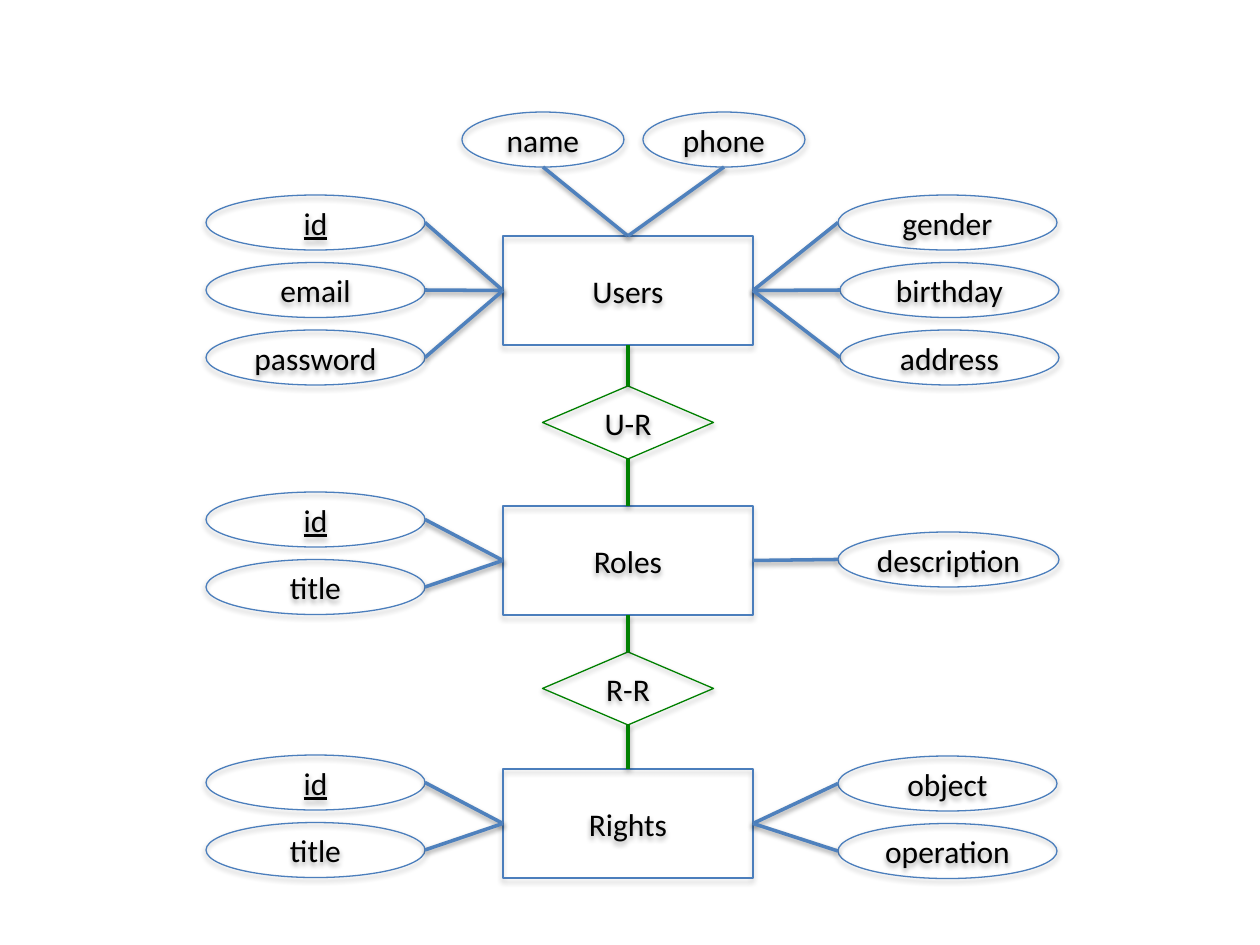
import pptx
import pptx.util
import pptx.dml.color
import pptx.enum.shapes
import pptx.enum.text
import pptx.oxml
import pptx.oxml.ns

SCALE = 914400 / 126
BLUE_OUTLINE = pptx.dml.color.RGBColor(0x4B, 0x7E, 0xBC)
BLUE_LINK = pptx.dml.color.RGBColor(0x4F, 0x81, 0xBD)
GREEN = pptx.dml.color.RGBColor(0x00, 0x80, 0x00)
BLACK = pptx.dml.color.RGBColor(0x00, 0x00, 0x00)
KINDS = pptx.enum.shapes.MSO_SHAPE

ENTITY_LEFT, ENTITY_WIDTH, ENTITY_HEIGHT = 503, 250, 109
RELATION_WIDTH, RELATION_HEIGHT = 171, 73
OVAL_WIDTH, OVAL_HEIGHT, OVAL_STEP = 219, 55, 67.5
LEFT_OVALS = 206
TOP_OVALS, TOP_OVAL_WIDTH = 112, 162
CENTER = ENTITY_LEFT + ENTITY_WIDTH / 2
KEY = "id"

ENTITIES = [
    {"name": "Users", "top": 236, "ovals_top": 195,
     "left": ["id", "email", "password"],
     "right": [("gender", 838, 219), ("birthday", 840, 219), ("address", 840, 219)],
     "right_top": 195, "above": [("name", 462), ("phone", 643)]},
    {"name": "Roles", "top": 506, "ovals_top": 492,
     "left": ["id", "title"],
     "right": [("description", 838, 221)], "right_top": 532, "above": []},
    {"name": "Rights", "top": 769, "ovals_top": 755,
     "left": ["id", "title"],
     "right": [("object", 838, 219), ("operation", 838, 219)],
     "right_top": 756, "above": []},
]
RELATIONS = [("U-R", 386), ("R-R", 652)]


def px(value):
    return pptx.util.Emu(round(value * SCALE))


def add_shadow(properties, opacity, distance):
    effects = properties.find(pptx.oxml.ns.qn("a:effectLst"))
    if effects is None:
        effects = pptx.oxml.parse_xml("<a:effectLst %s/>" % pptx.oxml.ns.nsdecls("a"))
        properties.append(effects)
    effects.append(pptx.oxml.parse_xml(
        '<a:outerShdw %s blurRad="%d" dist="%d" dir="5400000" rotWithShape="0">'
        '<a:srgbClr val="000000"><a:alpha val="%d"/></a:srgbClr></a:outerShdw>'
        % (pptx.oxml.ns.nsdecls("a"), pptx.util.Pt(3.1), pptx.util.Pt(distance),
           opacity * 1000)))


def add_node(slide, kind, text, left, top, width, height, color=BLUE_OUTLINE):
    shape = slide.shapes.add_shape(kind, px(left), px(top), px(width), px(height))
    shape.fill.background()
    shape.line.color.rgb = color
    shape.line.width = pptx.util.Pt(0.75)
    shape.shadow.inherit = False
    add_shadow(shape.element.spPr, 35, 1.8)
    frame = shape.text_frame
    frame.margin_left = frame.margin_right = 0
    frame.word_wrap = True
    frame.vertical_anchor = pptx.enum.text.MSO_ANCHOR.MIDDLE
    paragraph = frame.paragraphs[0]
    paragraph.alignment = pptx.enum.text.PP_ALIGN.CENTER
    run = paragraph.add_run()
    run.text = text
    run.font.name = "Calibri"
    run.font.size = pptx.util.Pt(18)
    run.font.color.rgb = BLACK
    if text == KEY:
        run.font.underline = True


def add_link(slide, start, end, color=BLUE_LINK):
    link = slide.shapes.add_connector(
        pptx.enum.shapes.MSO_CONNECTOR.STRAIGHT, *map(px, start + end))
    link.line.color.rgb = color
    link.line.width = pptx.util.Pt(2)
    add_shadow(link.element.spPr, 38, 1.6)


def add_entity(slide, entity):
    top = entity["top"]
    middle = top + ENTITY_HEIGHT / 2
    add_node(slide, KINDS.RECTANGLE, entity["name"],
             ENTITY_LEFT, top, ENTITY_WIDTH, ENTITY_HEIGHT)
    for row, text in enumerate(entity["left"]):
        oval_top = entity["ovals_top"] + row * OVAL_STEP
        add_node(slide, KINDS.OVAL, text, LEFT_OVALS, oval_top, OVAL_WIDTH, OVAL_HEIGHT)
        add_link(slide, (LEFT_OVALS + OVAL_WIDTH, oval_top + OVAL_HEIGHT / 2),
                 (ENTITY_LEFT, middle))
    for row, (text, left, width) in enumerate(entity["right"]):
        oval_top = entity["right_top"] + row * OVAL_STEP
        add_node(slide, KINDS.OVAL, text, left, oval_top, width, OVAL_HEIGHT)
        add_link(slide, (ENTITY_LEFT + ENTITY_WIDTH, middle),
                 (left, oval_top + OVAL_HEIGHT / 2))
    for text, left in entity["above"]:
        add_node(slide, KINDS.OVAL, text, left, TOP_OVALS, TOP_OVAL_WIDTH, OVAL_HEIGHT)
        add_link(slide, (CENTER, top),
                 (left + TOP_OVAL_WIDTH / 2, TOP_OVALS + OVAL_HEIGHT))


presentation = pptx.Presentation()
presentation.slide_width = pptx.util.Inches(10)
presentation.slide_height = pptx.util.Inches(7.5)
slide = presentation.slides.add_slide(presentation.slide_layouts[6])

for entity in ENTITIES:
    add_entity(slide, entity)

for (text, top), upper, lower in zip(RELATIONS, ENTITIES, ENTITIES[1:]):
    add_node(slide, KINDS.DIAMOND, text, CENTER - RELATION_WIDTH / 2, top,
             RELATION_WIDTH, RELATION_HEIGHT, GREEN)
    add_link(slide, (CENTER, upper["top"] + ENTITY_HEIGHT), (CENTER, top), GREEN)
    add_link(slide, (CENTER, top + RELATION_HEIGHT), (CENTER, lower["top"]), GREEN)

presentation.save("out.pptx")
